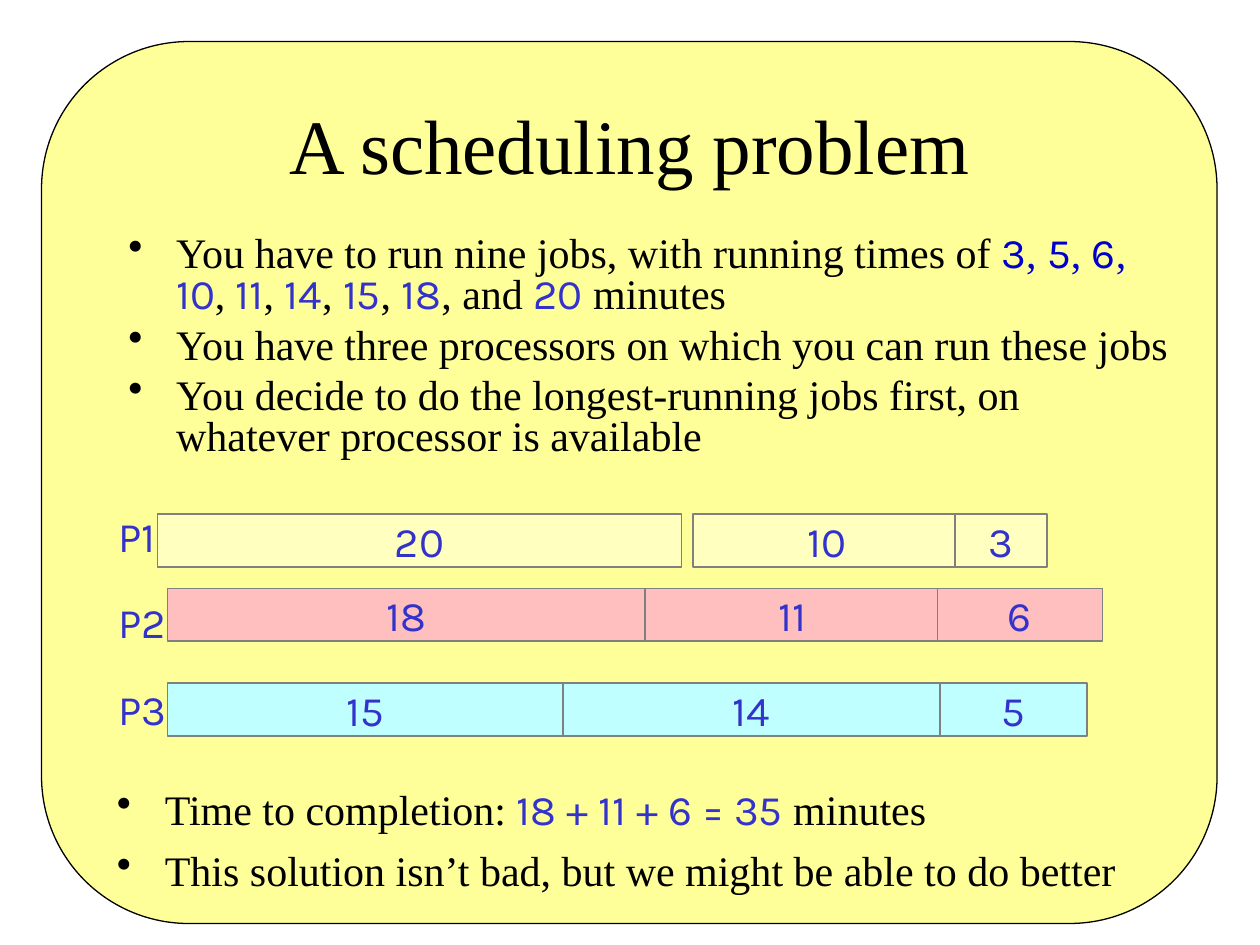
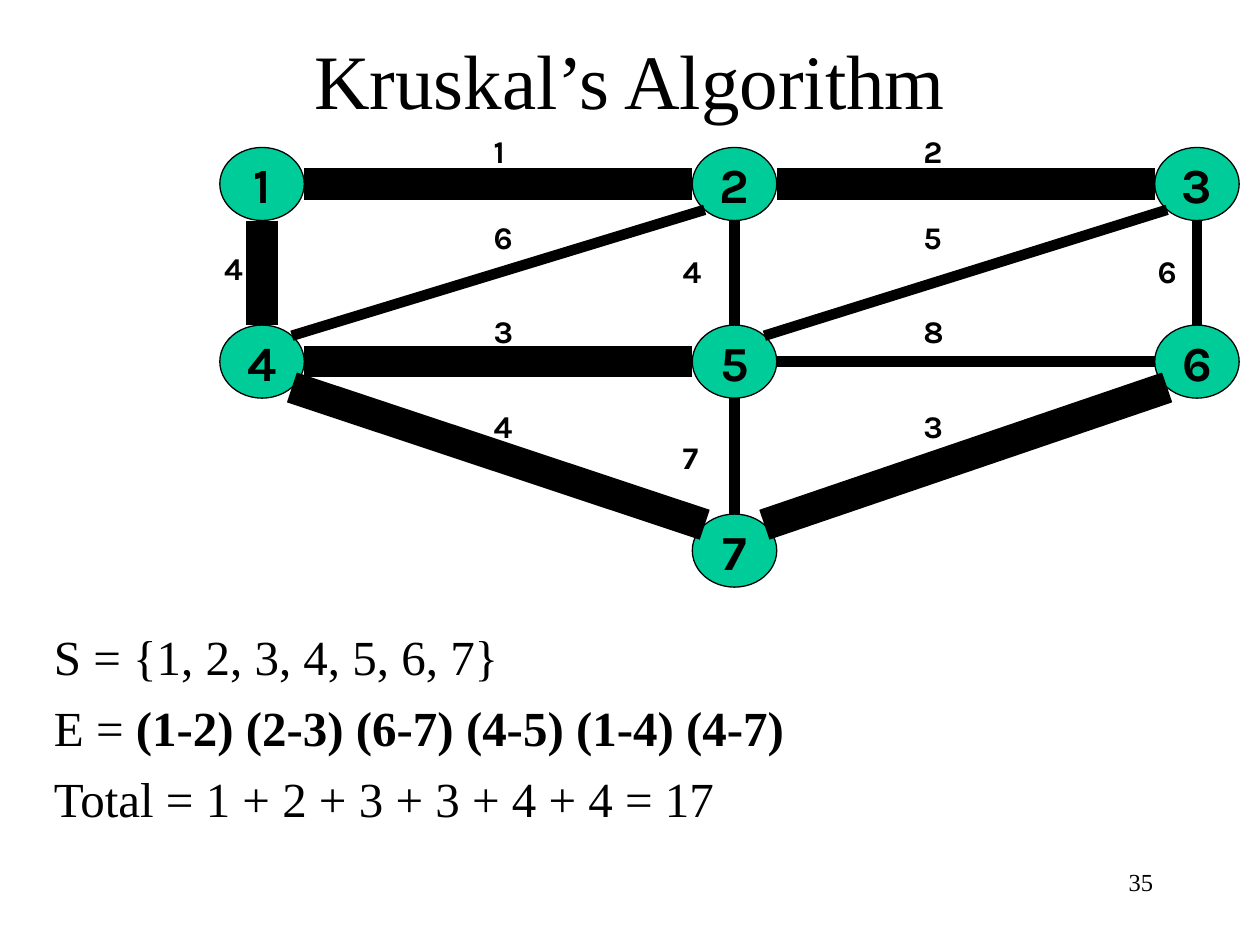
from dataclasses import dataclass
from math import sqrt
from typing import Any

from lxml import etree
from pptx import Presentation
from pptx import util as u
from pptx.dml.color import RGBColor
from pptx.enum import shapes, text
from pptx.oxml.ns import qn

COLORS = {
    "ink": "000000", "blue": "0000CC", "indigo": "3333CC", "gray": "808080",
    "panel": "FFFF99", "cream": "FFFFBF", "pink": "FFBFBF", "cyan": "BFFFFF",
    "node": "00CC99",
}
SERIF, SANS = "Times New Roman", "Karla"
CENTER, RIGHT = text.PP_ALIGN.CENTER, text.PP_ALIGN.RIGHT
MIDDLE = text.MSO_ANCHOR.MIDDLE
HANGING = 0.38


@dataclass(frozen=True)
class Box:
    left: float
    top: float
    width: float
    height: float

    def lengths(self) -> list[u.Length]:
        return [u.Inches(v) for v in (self.left, self.top, self.width, self.height)]


@dataclass(frozen=True)
class Run:
    text: str
    font: str = SERIF
    color: str = "ink"
    bold: bool = False


@dataclass(frozen=True)
class Job:
    minutes: int
    left: float
    width: float


@dataclass(frozen=True)
class Processor:
    color: str
    top: float
    jobs: tuple[Job, ...]


@dataclass(frozen=True)
class Edge:
    start: int
    end: int
    weight: int
    label_left: float
    label_top: float
    chosen: bool = False


PROCESSORS = (
    Processor("cream", 4.08, (Job(20, 1.25, 4.16), Job(10, 5.5, 2.12), Job(3, 7.58, 0.73))),
    Processor("pink", 4.67, (Job(18, 1.33, 3.79), Job(11, 5.12, 2.34), Job(6, 7.44, 1.31))),
    Processor("cyan", 5.42, (Job(15, 1.33, 3.14), Job(14, 4.47, 2.99), Job(5, 7.46, 1.17))),
)
COLUMNS, ROWS = (2.08, 5.83, 9.5), (1.46, 2.87, 4.37)
NODE_WIDTH, NODE_HEIGHT = 0.67, 0.58
NODES = {row * 3 + column + 1: (COLUMNS[column], ROWS[row])
         for row in range(2) for column in range(3)}
NODES[7] = (COLUMNS[1], ROWS[2])
EDGES = (
    Edge(1, 2, 1, 3.82, 1, True),
    Edge(2, 3, 2, 7.23, 1, True),
    Edge(1, 4, 4, 1.68, 1.93, True),
    Edge(4, 5, 3, 3.82, 2.43, True),
    Edge(5, 2, 4, 5.32, 1.95),
    Edge(5, 6, 8, 7.23, 2.43),
    Edge(6, 3, 6, 9.09, 1.95),
    Edge(5, 7, 7, 5.32, 3.43),
    Edge(4, 7, 4, 3.82, 3.18, True),
    Edge(4, 2, 6, 3.82, 1.68),
    Edge(5, 3, 5, 7.23, 1.68),
    Edge(7, 6, 3, 7.23, 3.18, True),
)


def rgb(color: str) -> RGBColor:
    return RGBColor.from_string(COLORS[color])


def apply(target: Any, formats: dict[str, Any]) -> None:
    for name, value in formats.items():
        setattr(target, name, value)


def hang(paragraph: Any, bullet: bool) -> None:
    """Give a paragraph a hanging indent and, if wanted, a bullet."""
    properties = paragraph._p.get_or_add_pPr()
    properties.set("marL", str(u.Inches(HANGING)))
    properties.set("indent", str(-u.Inches(HANGING)))
    if bullet:
        color = etree.SubElement(properties, qn("a:buClr"))
        etree.SubElement(color, qn("a:srgbClr"), val=COLORS["ink"])
        etree.SubElement(properties, qn("a:buChar"), char="•")


def write(shape: Any, paragraphs: list[list[Run]], size: float,
          paragraph_format: dict[str, Any] | None = None,
          frame_format: dict[str, Any] | None = None,
          hanging: bool = False, bullet: bool = False) -> None:
    frame = shape.text_frame
    apply(frame, {"word_wrap": True, **(frame_format or {})})
    for index, runs in enumerate(paragraphs):
        paragraph = frame.add_paragraph() if index else frame.paragraphs[0]
        apply(paragraph, paragraph_format or {})
        if hanging:
            hang(paragraph, bullet)
        for item in runs:
            run = paragraph.add_run()
            run.text = item.text
            apply(run.font, {"name": item.font, "size": u.Pt(size), "bold": item.bold})
            run.font.color.rgb = rgb(item.color)


def add_text(slide: Any, box: Box, *args: Any, **formats: Any) -> None:
    write(slide.shapes.add_textbox(*box.lengths()), *args, **formats)


def add_title(slide: Any, box: Box, title: str) -> None:
    add_text(slide, box, [[Run(title)]], 44, {"alignment": CENTER},
             {"vertical_anchor": MIDDLE})


def add_shape(slide: Any, kind: Any, box: Box, fill: str,
              line: str = "ink", points: float = 0.75) -> Any:
    shape = slide.shapes.add_shape(kind, *box.lengths())
    shape.shadow.inherit = False
    shape.fill.solid()
    shape.fill.fore_color.rgb = rgb(fill)
    shape.line.color.rgb = rgb(line)
    shape.line.width = u.Pt(points)
    return shape


def write_centered(shape: Any, run: Run, size: float) -> None:
    write(shape, [[run]], size, {"alignment": CENTER},
          {"word_wrap": False, "vertical_anchor": MIDDLE})


def running_times() -> list[Run]:
    runs = [Run("You have to run nine jobs, with running times of ")]
    for minutes in (3, 5, 6):
        runs += [Run(str(minutes), SANS, "blue"), Run(", ", color="blue")]
    for minutes in (10, 11, 14, 15, 18, 20):
        separator = {18: ", and ", 20: " minutes"}.get(minutes, ", ")
        runs += [Run(str(minutes), SANS, "indigo"), Run(separator)]
    return runs


def build_scheduling(slide: Any) -> None:
    panel = add_shape(slide, shapes.MSO_SHAPE.ROUNDED_RECTANGLE,
                      Box(0.33, 0.33, 9.33, 7), "panel")
    panel.adjustments[0] = 0.167
    add_title(slide, Box(0.75, 0.78, 8.5, 0.72), "A scheduling problem")
    add_text(slide, Box(0.92, 1.83, 8.5, 2), [
        running_times(),
        [Run("You have three processors on which you can run these jobs")],
        [Run("You decide to do the longest-running jobs first, "
             "on whatever processor is available")],
    ], 24, {"line_spacing": 0.8, "space_before": u.Pt(6)}, hanging=True, bullet=True)

    for processor in PROCESSORS:
        for job in processor.jobs:
            bar = add_shape(slide, shapes.MSO_SHAPE.RECTANGLE,
                            Box(job.left, processor.top, job.width, 0.42),
                            processor.color, "gray", 1)
            write_centered(bar, Run(str(job.minutes), SANS, "indigo"), 24)
    add_text(slide, Box(0.84, 3.92, 0.66, 1.95),
             [[Run(f"P{number}", SANS, "indigo")]
              for number in range(1, len(PROCESSORS) + 1)],
             24, {"line_spacing": 1.2, "space_before": u.Pt(15)})

    add_text(slide, Box(0.83, 6.17, 8.42, 1.17), [
        [Run("Time to completion: "), Run("18 + 11 + 6 = 35", SANS, "indigo"),
         Run(" minutes")],
        [Run("This solution isn’t bad, but we might be able to do better")],
    ], 24, {"space_before": u.Pt(6)}, hanging=True, bullet=True)


def rim_point(node: int, other: int) -> list[u.Length]:
    """Point on a node's rim, at one of eight directions, facing another node."""
    (x, y), (other_x, other_y) = NODES[node], NODES[other]
    across = (other_x > x) - (other_x < x)
    down = (other_y > y) - (other_y < y)
    reach = 1 / sqrt(2) if across and down else 1
    return [u.Inches(x + across * reach * NODE_WIDTH / 2),
            u.Inches(y + down * reach * NODE_HEIGHT / 2)]


def add_edge(slide: Any, edge: Edge) -> None:
    connector = slide.shapes.add_connector(
        shapes.MSO_CONNECTOR.STRAIGHT,
        *rim_point(edge.start, edge.end), *rim_point(edge.end, edge.start))
    connector.line.color.rgb = rgb("ink")
    connector.line.width = u.Pt(18 if edge.chosen else 6)
    etree.SubElement(connector._element.spPr, qn("a:effectLst"))


def build_kruskal(slide: Any) -> None:
    add_text(slide, Box(7.17, 6.83, 2.08, 0.5), [[Run("35")]], 14, {"alignment": RIGHT})
    add_title(slide, Box(0.33, 0, 9.34, 1.25), "Kruskal’s Algorithm")
    add_text(slide, Box(0.33, 4.92, 9.34, 2.25), [
        [Run("S = {1, 2, 3, 4, 5, 6, 7}")],
        [Run("E = "), Run("(1-2) (2-3) (6-7) (4-5) (1-4) (4-7)", bold=True)],
        [Run("Total = 1 + 2 + 3 + 3 + 4 + 4 = 17")],
    ], 28, {"space_before": u.Pt(7)}, hanging=True)

    for number, (x, y) in NODES.items():
        node = add_shape(slide, shapes.MSO_SHAPE.OVAL,
                         Box(x - NODE_WIDTH / 2, y - NODE_HEIGHT / 2,
                             NODE_WIDTH, NODE_HEIGHT), "node")
        write_centered(node, Run(str(number), SANS, bold=True), 28)
    for edge in EDGES:
        add_edge(slide, edge)
    for edge in EDGES:
        add_text(slide, Box(edge.label_left, edge.label_top, 0.34, 0.4),
                 [[Run(str(edge.weight), SANS, bold=True)]], 18,
                 frame_format={"word_wrap": False,
                               "auto_size": text.MSO_AUTO_SIZE.SHAPE_TO_FIT_TEXT})


def main() -> None:
    presentation = Presentation()
    apply(presentation, {"slide_width": u.Inches(10), "slide_height": u.Inches(7.5)})
    for build in (build_scheduling, build_kruskal):
        build(presentation.slides.add_slide(presentation.slide_layouts[6]))
    presentation.save("out.pptx")


if __name__ == "__main__":
    main()
